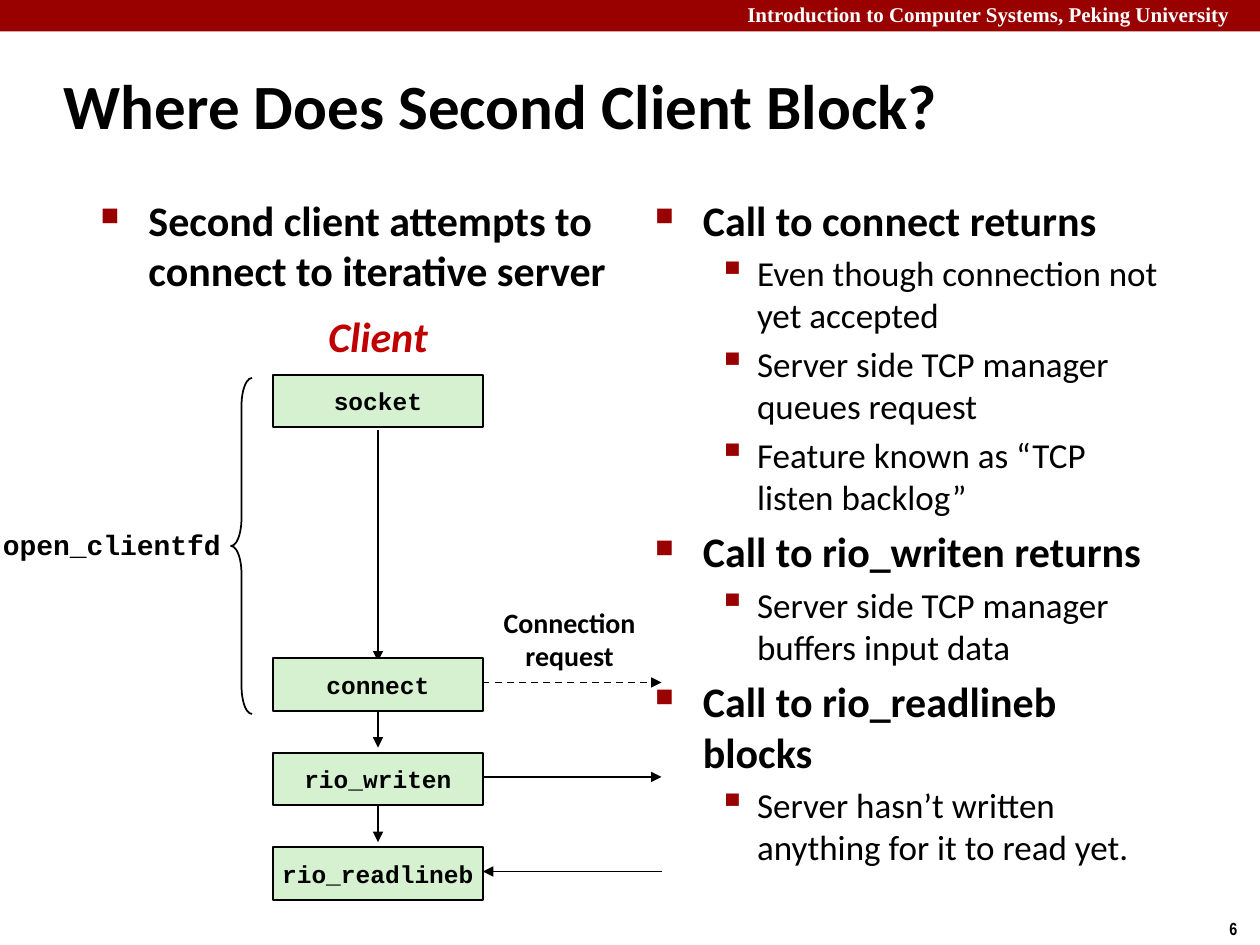
from lxml import etree
from pptx import Presentation
from pptx.dml.color import RGBColor
from pptx.enum.dml import MSO_LINE_DASH_STYLE as Dash
from pptx.enum.shapes import MSO_CONNECTOR as Connector, MSO_SHAPE as Preset
from pptx.enum.text import MSO_ANCHOR as Anchor, PP_ALIGN as Align
from pptx.oxml.ns import qn
from pptx.util import Inches, Pt

# The slide is a grid of 120 columns by 90 rows, 12 to the inch.
COLUMNS, ROWS, PER_INCH = 120, 90, 12
RED = "990000"
BOX_LEFT, BOX_WIDTH, BOX_HEIGHT = 26, 20, 5
BOX_TOP, STEP = 35.7, 9
CENTRE = BOX_LEFT + BOX_WIDTH / 2
CALLS = {"socket": 0, "connect": 3, "rio_writen": 4, "rio_readlineb": 5}

BODY = {"name": "Calibri", "size": 24, "bold": True}
LEVELS = [
    {"font": BODY, "indent": (0.38, -0.38), "bullet": "■", "percent": 60},
    {"font": {**BODY, "size": 20, "bold": False},
     "indent": (0.81, -0.31), "bullet": "▪", "percent": 110},
]
LEFT_POINTS = [(0, "Second client attempts to connect to iterative server")]
RIGHT_POINTS = [
    (0, "Call to connect returns"),
    (1, "Even though connection not yet accepted"),
    (1, "Server side TCP manager queues request"),
    (1, "Feature known as “TCP listen backlog”"),
    (0, "Call to rio_writen returns"),
    (1, "Server side TCP manager buffers input data"),
    (0, "Call to rio_readlineb blocks"),
    (1, "Server hasn’t written anything for it to read yet."),
]


def grid(*cells):
    return [Inches(cell / PER_INCH) for cell in cells]


def colour(hex_string):
    return RGBColor.from_string(hex_string)


def format_font(font, values):
    values = {"color": "000000", **values}
    font.color.rgb = colour(values.pop("color"))
    font.size = Pt(values.pop("size"))
    for name, value in values.items():
        setattr(font, name, value)


def fill_text(shape, lines, font, align=Align.LEFT, anchor=Anchor.TOP, wrap=False):
    frame = shape.text_frame
    frame.word_wrap = wrap
    frame.vertical_anchor = anchor
    frame.text = "\n".join(lines)
    for paragraph in frame.paragraphs:
        paragraph.alignment = align
        format_font(paragraph.font, font)
    return frame


def add_text(slide, cells, lines, font, **layout):
    return fill_text(slide.shapes.add_textbox(*grid(*cells)), lines, font, **layout)


def set_indent(paragraph, left, first):
    properties = paragraph._p.get_or_add_pPr()
    properties.set("marL", str(Inches(left)))
    properties.set("indent", str(Inches(first)))
    return properties


def add_bullet(paragraph, level):
    properties = set_indent(paragraph, *level["indent"])
    bullet_colour = etree.SubElement(properties, qn("a:buClr"))
    etree.SubElement(bullet_colour, qn("a:srgbClr"), val=RED)
    etree.SubElement(properties, qn("a:buSzPct"), val=str(level["percent"] * 1000))
    etree.SubElement(properties, qn("a:buChar"), char=level["bullet"])


def add_points(slide, cells, points):
    frame = slide.shapes.add_textbox(*grid(*cells)).text_frame
    frame.word_wrap = True
    for index, (depth, text) in enumerate(points):
        level = LEVELS[depth]
        paragraph = frame.add_paragraph() if index else frame.paragraphs[0]
        paragraph.text = text
        paragraph.level = depth
        if index:
            paragraph.space_before = Pt(level["font"]["size"] * 0.2)
        add_bullet(paragraph, level)
        format_font(paragraph.font, level["font"])


def add_shape(slide, preset, cells, fill=None, line="000000"):
    shape = slide.shapes.add_shape(preset, *grid(*cells))
    shape.shadow.inherit = False
    for part, value in ((shape.fill, fill), (shape.line.fill, line)):
        if value:
            part.solid()
            part.fore_color.rgb = colour(value)
        else:
            part.background()
    shape.line.width = Pt(1)
    return shape


def add_arrow(slide, start, end, dash=None):
    arrow = slide.shapes.add_connector(Connector.STRAIGHT, *grid(*start, *end))
    arrow.line.color.rgb = colour("000000")
    arrow.line.width = Pt(1)
    arrow.line.dash_style = dash
    etree.SubElement(arrow.line._get_or_add_ln(), qn("a:tailEnd"), type="triangle")
    etree.SubElement(arrow._element.spPr, qn("a:effectLst"))


def add_arrows(slide):
    right, far = BOX_LEFT + BOX_WIDTH, 63
    add_arrow(slide, (CENTRE, 41), (CENTRE, 63))
    for top in (67.2, 76.2):
        add_arrow(slide, (CENTRE, top), (CENTRE, top + 4))
    add_arrow(slide, (39, 65), (far, 65), Dash.DASH)
    add_arrow(slide, (right, 74), (far, 74))
    add_arrow(slide, (far, 83), (right, 83))


def add_calls(slide):
    for name, row in CALLS.items():
        cells = (BOX_LEFT, BOX_TOP + row * STEP, BOX_WIDTH, BOX_HEIGHT)
        box = add_shape(slide, Preset.RECTANGLE, cells, "D5F1CF")
        fill_text(box, [name], {"name": "Courier New", "size": 14, "bold": True},
                  Align.CENTER, Anchor.MIDDLE)


def add_labels(slide):
    centred = {"align": Align.CENTER, "anchor": Anchor.MIDDLE}
    add_text(slide, (30, 29, 12, 6), ["Client"],
             {**BODY, "italic": True, "color": "C00000"}, **centred)
    add_text(slide, (46.7, 57, 15.1, 7.7), ["Connection", "request"],
             {**BODY, "size": 16}, **centred)
    add_text(slide, (-1, 49.6, 23.3, 4.4), ["open_clientfd"],
             {"name": "Courier New", "size": 16, "bold": True}, **centred)
    brace = add_shape(slide, Preset.LEFT_BRACE, (22, 36, 2, 32))
    brace.adjustments[0] = 1.33


def add_frame(slide):
    """Draw the header band, the page number and the title."""
    add_shape(slide, Preset.RECTANGLE, (0, 0, COLUMNS, 3), RED, None)
    add_text(slide, (70, -0.4, 50.9, 3.6),
             ["Introduction to Computer Systems, Peking University"],
             {"name": "Times New Roman", "size": 12, "bold": True, "color": "FFFFFF"},
             wrap=True)
    add_text(slide, (115.9, 86.8, 4.1, 3.2), ["6"],
             {"name": "Arial Narrow", "size": 10, "bold": True})
    title = add_text(slide, (4.9, 4.9, 99.6, 10), ["Where Does Second Client Block?"],
                     {**BODY, "size": 36}, anchor=Anchor.MIDDLE, wrap=True)
    set_indent(title.paragraphs[0], 0.13, -0.13)


def main():
    presentation = Presentation()
    presentation.slide_width, presentation.slide_height = grid(COLUMNS, ROWS)
    slide = presentation.slides.add_slide(presentation.slide_layouts[6])
    add_frame(slide)
    add_points(slide, (8.4, 17.9, 50.8, 14.2), LEFT_POINTS)
    add_points(slide, (61.2, 17.9, 50.8, 65.3), RIGHT_POINTS)
    add_arrows(slide)
    add_calls(slide)
    add_labels(slide)
    presentation.save("out.pptx")


if __name__ == "__main__":
    main()
